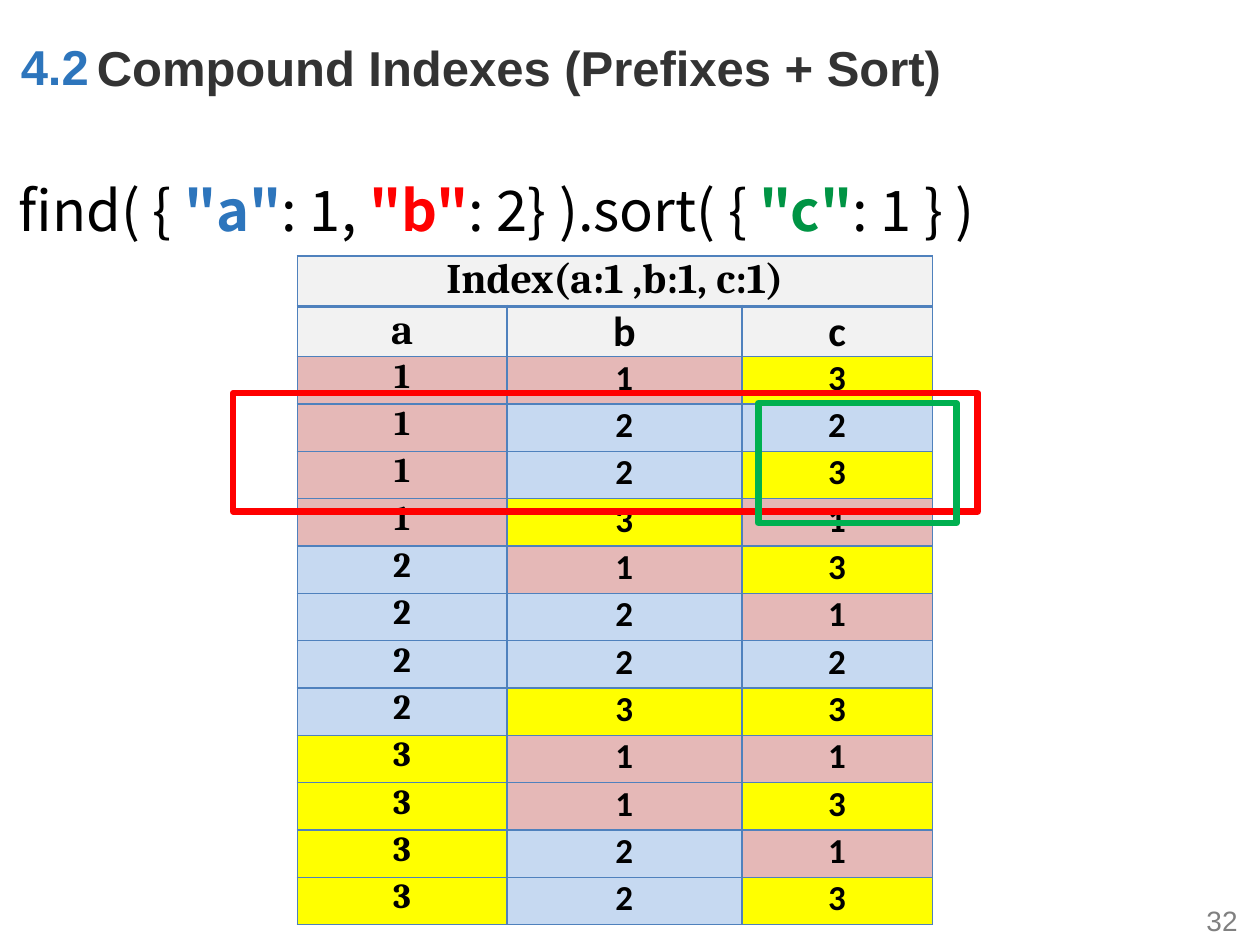
from dataclasses import dataclass

from lxml import etree
from pptx import Presentation
from pptx import util as u
from pptx.dml.color import RGBColor
from pptx.enum import shapes, text
from pptx.oxml.ns import qn


@dataclass(frozen=True)
class Theme:
    blue: str = "2D75BC"
    dark: str = "333333"
    gray: str = "808080"
    black: str = "000000"
    red: str = "FF0000"
    green: str = "009444"
    frame_green: str = "00B050"
    header: str = "F2F2F2"
    border: str = "4F81BD"
    values: tuple = ("E5B8B7", "C6D9F1", "FFFF00")
    sans: str = "Arial"
    query: str = "Noto Sans CJK SC"
    key_font: str = "Cambria"
    cell_font: str = "Calibri"
    title_size: int = 28
    query_size: int = 32
    header_size: int = 24
    cell_size: int = 20
    number_size: int = 16
    thin: float = 1
    thick: float = 2.25
    frame: float = 3.75


@dataclass(frozen=True)
class Area:
    """Percentages of the slide's width and height."""
    left: float
    top: float
    width: float
    height: float


@dataclass(frozen=True)
class Span:
    words: str
    color: str
    bold: bool = True


@dataclass(frozen=True)
class Label:
    area: Area
    spans: tuple
    font: str
    size: int
    align: text.PP_ALIGN = text.PP_ALIGN.LEFT
    anchor: text.MSO_ANCHOR = text.MSO_ANCHOR.TOP
    spacing: float = 1.0


@dataclass(frozen=True)
class Frame:
    area: Area
    color: str


THEME = Theme()
WIDTH, HEIGHT = u.Inches(10), u.Inches(7.5)
MIDDLE = text.MSO_ANCHOR.MIDDLE

LABELS = (
    Label(Area(94.2, 94.67, 5, 5.33), (Span("32", THEME.gray, False),),
          THEME.sans, THEME.number_size, text.PP_ALIGN.RIGHT, MIDDLE),
    Label(Area(0.2, 3.2, 8.3, 7.6), (Span("4.2", THEME.blue),),
          THEME.sans, THEME.title_size, text.PP_ALIGN.CENTER),
    Label(Area(6.7, 3.33, 87.5, 7.6),
          (Span("Compound Indexes (Prefixes + Sort)", THEME.dark),),
          THEME.sans, THEME.title_size),
    Label(Area(0.5, 16.8, 100, 9.2), (
        Span("find( { ", THEME.black, False),
        Span('"a"', THEME.blue),
        Span(": 1, ", THEME.black, False),
        Span('"b"', THEME.red),
        Span(": 2} ).sort( { ", THEME.black, False),
        Span('"c"', THEME.green),
        Span(": 1 } )", THEME.black, False),
    ), THEME.query, THEME.query_size, anchor=MIDDLE, spacing=1.2),
)

TABLE_AREA = Area(23.6, 27.07, 50.4, 70.8)
COLUMN_SHARES = (0.33, 0.37, 0.3)
HEADER_HEIGHT = 5.33
HEADERS = (("Index(a:1 ,b:1, c:1)", "", ""), ("a", "b", "c"))
ENTRIES = ("113", "122", "123", "131", "213", "221",
           "222", "233", "311", "313", "321", "323")

FRAMES = (
    Frame(Area(18.5, 41.6, 59.1, 12.53), THEME.red),
    Frame(Area(60.2, 42.67, 15.7, 12.67), THEME.frame_green),
)


def across(percent: float) -> int:
    return round(WIDTH * percent / 100)


def down(percent: float) -> int:
    return round(HEIGHT * percent / 100)


def place(area: Area) -> tuple:
    return across(area.left), down(area.top), across(area.width), down(area.height)


def assign(target, values: dict) -> None:
    for name, value in values.items():
        setattr(target, name, value)


def write(para, span: Span, font: str, size: int) -> None:
    run = para.add_run()
    run.text = span.words
    assign(run.font, {"name": font, "size": u.Pt(size), "bold": span.bold})
    run.font.color.rgb = RGBColor.from_string(span.color)


def draw_label(page, label: Label) -> None:
    box = page.shapes.add_textbox(*place(label.area))
    assign(box.text_frame, {"word_wrap": True, "vertical_anchor": label.anchor})
    para = box.text_frame.paragraphs[0]
    assign(para, {"alignment": label.align, "line_spacing": label.spacing})
    for span in label.spans:
        write(para, span, label.font, label.size)


def draw_borders(cell, top: float, bottom: float) -> None:
    properties = cell._tc.get_or_add_tcPr()
    widths = {"lnL": THEME.thin, "lnR": THEME.thin, "lnT": top, "lnB": bottom}
    for position, (tag, width) in enumerate(widths.items()):
        line = etree.Element(qn(f"a:{tag}"), w=str(u.Pt(width)))
        fill = etree.SubElement(line, qn("a:solidFill"))
        etree.SubElement(fill, qn("a:srgbClr"), val=THEME.border)
        properties.insert(position, line)


def fill_cell(cell, words: str, row: int, column: int) -> None:
    is_header = row < len(HEADERS)
    color = THEME.header if is_header else THEME.values[int(words) - 1]
    size = THEME.header_size if is_header else THEME.cell_size
    font = THEME.cell_font if column else THEME.key_font
    assign(cell, {"margin_left": u.Inches(0.07), "margin_right": u.Inches(0.07),
                  "margin_top": 0, "margin_bottom": 0})
    cell.fill.solid()
    cell.fill.fore_color.rgb = RGBColor.from_string(color)
    draw_borders(cell, THEME.thick if row == 1 else THEME.thin,
                 THEME.thick if row == 0 else THEME.thin)
    para = cell.text_frame.paragraphs[0]
    para.alignment = text.PP_ALIGN.CENTER
    if words:
        write(para, Span(words, THEME.black), font, size)


def draw_index(page) -> None:
    contents = (*HEADERS, *ENTRIES)
    table = page.shapes.add_table(
        len(contents), len(COLUMN_SHARES), *place(TABLE_AREA)).table
    assign(table, {"first_row": False, "horz_banding": False})
    for column, share in zip(table.columns, COLUMN_SHARES):
        column.width = across(TABLE_AREA.width * share)
    entry_height = (TABLE_AREA.height - len(HEADERS) * HEADER_HEIGHT) / len(ENTRIES)
    for row, words in enumerate(contents):
        table.rows[row].height = down(
            HEADER_HEIGHT if row < len(HEADERS) else entry_height)
        for column, word in enumerate(words):
            fill_cell(table.cell(row, column), word, row, column)
    table.cell(0, 0).merge(table.cell(0, len(COLUMN_SHARES) - 1))


def draw_frame(page, frame: Frame) -> None:
    box = page.shapes.add_shape(shapes.MSO_SHAPE.RECTANGLE, *place(frame.area))
    box.shadow.inherit = False
    box.fill.background()
    box.line.width = u.Pt(THEME.frame)
    box.line.color.rgb = RGBColor.from_string(frame.color)


def main() -> None:
    deck = Presentation()
    assign(deck, {"slide_width": WIDTH, "slide_height": HEIGHT})
    page = deck.slides.add_slide(deck.slide_layouts[6])
    for label in LABELS:
        draw_label(page, label)
    draw_index(page)
    for frame in FRAMES:
        draw_frame(page, frame)
    deck.save("out.pptx")


if __name__ == "__main__":
    main()
